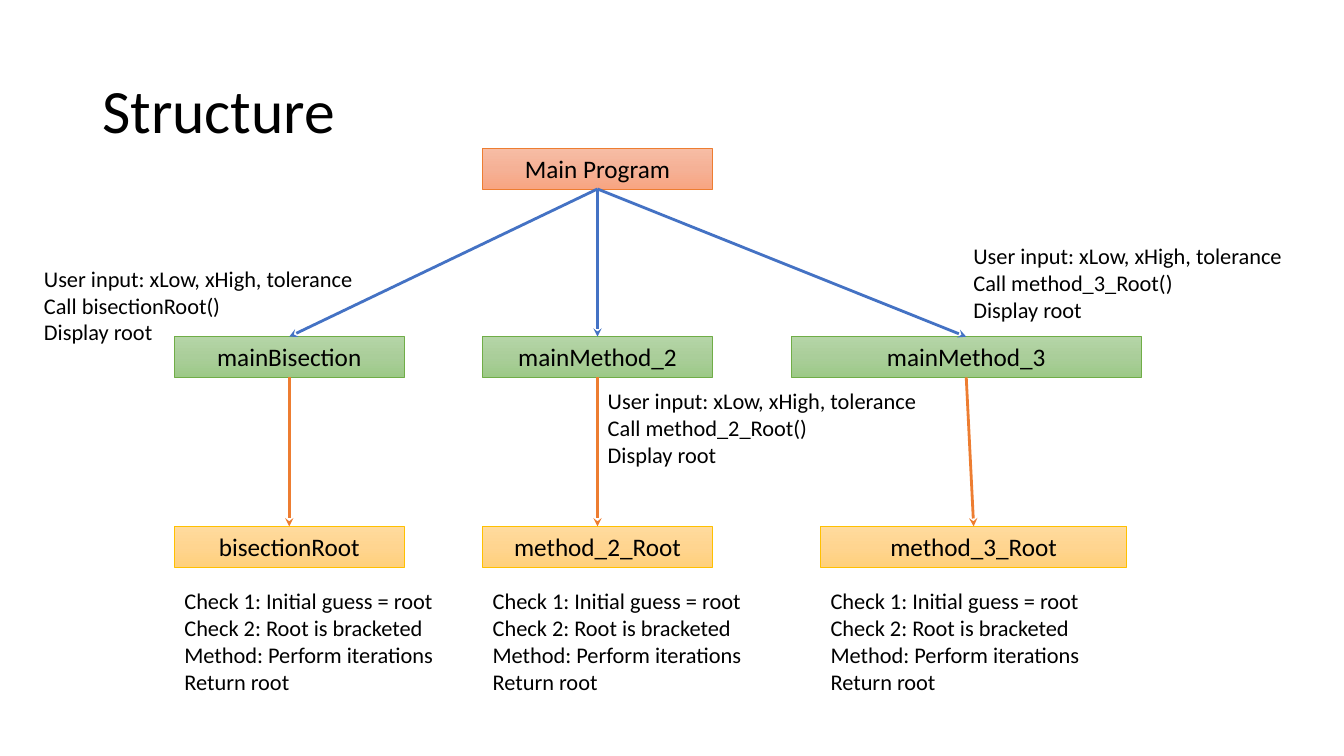
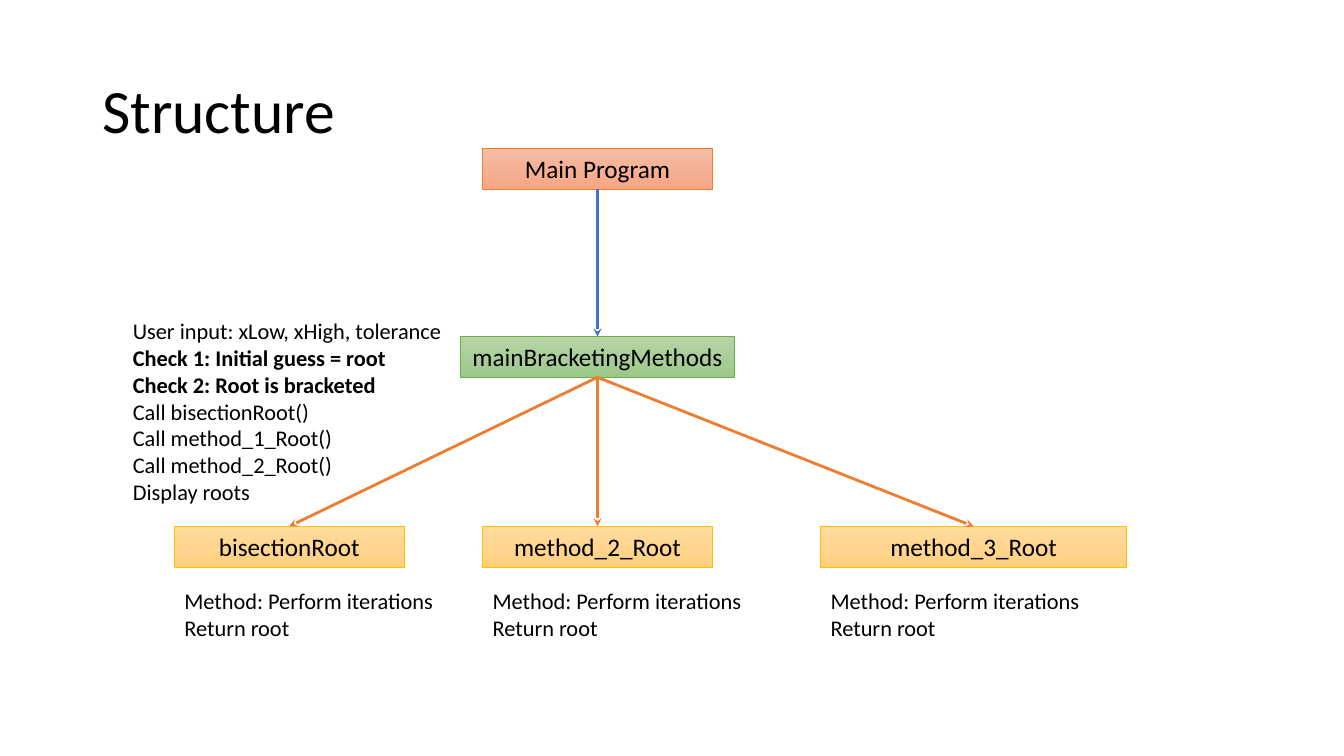
import copy

import lxml.etree
import pptx
import pptx.dml.color
import pptx.enum.shapes
import pptx.enum.text
import pptx.oxml.ns
import pptx.util

Pt = pptx.util.Pt
RGBColor = pptx.dml.color.RGBColor
qn = pptx.oxml.ns.qn
Align = pptx.enum.text.PP_ALIGN
Anchor = pptx.enum.text.MSO_ANCHOR
AutoSize = pptx.enum.text.MSO_AUTO_SIZE

COLORS = {
    "text": "000000",
    "program": ["F7BDA5", "F5B196", "F8A582"],
    "program_line": "ED7D31",
    "caller": ["B5D5A7", "AACE9A", "9CC987"],
    "caller_line": "70AD47",
    "root": ["FFDB9E", "FFD590", "FFD07C"],
    "root_line": "FFC000",
    "program_arrow": "4472C4",
    "caller_arrow": "ED7D31",
}
FONT = "Calibri"
NODE_HEIGHT = 29
NODE_WIDTH = 164
ROW_TOP = {"program": 106, "caller": 240.5, "root": 376}
COLUMN_LEFT = [124.6, 344.8, 586.2]
NOTE_TOP = 416
NOTE_WIDTH = 218
CALL_NOTE_WIDTH = 240
LINE_HEIGHT = 19.2

TITLE = "Structure"
MAIN_PROGRAM = ("Main Program", "program", COLUMN_LEFT[1], NODE_WIDTH)
ROOTS = [
    ("bisectionRoot", "root", COLUMN_LEFT[0], NODE_WIDTH),
    ("method_2_Root", "root", COLUMN_LEFT[1], NODE_WIDTH),
    ("method_3_Root", "root", COLUMN_LEFT[2], 218.6),
]
INPUT = "User input: xLow, xHigh, tolerance"
CHECKS = ["Check 1: Initial guess = root", "Check 2: Root is bracketed"]
METHOD = ["Method: Perform iterations", "Return root"]

# Nodes: text, level, left, width. Call notes: left, top, lines.
SLIDES = [
    {
        "nodes": [
            MAIN_PROGRAM,
            ("mainBisection", "caller", COLUMN_LEFT[0], NODE_WIDTH),
            ("mainMethod_2", "caller", COLUMN_LEFT[1], NODE_WIDTH),
            ("mainMethod_3", "caller", 565.2, 250),
            *ROOTS,
        ],
        "arrows": [(0, 1), (0, 2), (0, 3), (1, 4), (2, 5), (3, 6)],
        "root_note": CHECKS + METHOD,
        "call_notes": [
            (24.3, 185.6, [INPUT, "Call bisectionRoot()", "Display root"]),
            (427, 273, [INPUT, "Call method_2_Root()", "Display root"]),
            (688.2, 169.5, [INPUT, "Call method_3_Root()", "Display root"]),
        ],
        "bold": [],
    },
    {
        "nodes": [
            MAIN_PROGRAM,
            ("mainBracketingMethods", "caller", 329.2, 195.2),
            *ROOTS,
        ],
        "arrows": [(0, 1), (1, 2), (1, 3), (1, 4)],
        "root_note": METHOD,
        "call_notes": [
            (87.8, 223, [INPUT, *CHECKS, "Call bisectionRoot()",
                         "Call method_1_Root()", "Call method_2_Root()",
                         "Display roots"]),
        ],
        "bold": CHECKS,
    },
]


def write_lines(shape, lines, size, frame_format, paragraph_format, bold=()):
    """Fill the shape with one paragraph per line; lines found in bold are bold."""
    frame = shape.text_frame
    for name, value in {"word_wrap": True, **frame_format}.items():
        setattr(frame, name, value)
    for index, line in enumerate(lines):
        paragraph = frame.add_paragraph() if index else frame.paragraphs[0]
        for name, value in paragraph_format.items():
            setattr(paragraph, name, value)
        run = paragraph.add_run()
        run.text = line
        font_format = {"name": FONT, "size": Pt(size), "bold": line in bold}
        for name, value in font_format.items():
            setattr(run.font, name, value)
        run.font.color.rgb = RGBColor.from_string(COLORS["text"])


def add_node(slide, text, level, left, width):
    node = slide.shapes.add_shape(
        pptx.enum.shapes.MSO_SHAPE.RECTANGLE,
        Pt(left), Pt(ROW_TOP[level]), Pt(width), Pt(NODE_HEIGHT))
    node.shadow.inherit = False
    node.fill.gradient()
    node.fill.gradient_angle = 270
    stop_list = node.element.spPr.find(".//" + qn("a:gsLst"))
    stop_list.append(copy.deepcopy(stop_list[0]))
    for index, stop in enumerate(node.fill.gradient_stops):
        stop.position = index / 2
        stop.color.rgb = RGBColor.from_string(COLORS[level][index])
    node.line.color.rgb = RGBColor.from_string(COLORS[level + "_line"])
    node.line.width = Pt(0.5)
    write_lines(node, [text], 18,
                {"auto_size": AutoSize.SHAPE_TO_FIT_TEXT,
                 "vertical_anchor": Anchor.TOP},
                {"alignment": Align.CENTER})
    return node


presentation = pptx.Presentation()
presentation.slide_width = Pt(960)
presentation.slide_height = Pt(540)

for content in SLIDES:
    slide = presentation.slides.add_slide(presentation.slide_layouts[6])

    title = slide.shapes.add_textbox(Pt(66), Pt(28.8), Pt(828), Pt(104.4))
    write_lines(title, [TITLE], 44, {"vertical_anchor": Anchor.MIDDLE},
                {"line_spacing": 0.9})

    nodes = [add_node(slide, *node) for node in content["nodes"]]

    for start, end in content["arrows"]:
        level = content["nodes"][start][1]
        arrow = slide.shapes.add_connector(
            pptx.enum.shapes.MSO_CONNECTOR.STRAIGHT, 0, 0, 0, 0)
        arrow.begin_connect(nodes[start], 2)
        arrow.end_connect(nodes[end], 0)
        arrow.line.color.rgb = RGBColor.from_string(COLORS[level + "_arrow"])
        arrow.line.width = Pt(2)
        properties = arrow.element.spPr
        outline = properties.find(qn("a:ln"))
        lxml.etree.SubElement(outline, qn("a:tailEnd"), type="stealth")
        lxml.etree.SubElement(properties, qn("a:effectLst"))

    notes = [(left, NOTE_TOP, NOTE_WIDTH, content["root_note"], [])
             for left in COLUMN_LEFT]
    notes += [(left, top, CALL_NOTE_WIDTH, lines, content["bold"])
              for left, top, lines in content["call_notes"]]
    for left, top, width, lines, bold in notes:
        note = slide.shapes.add_textbox(
            Pt(left), Pt(top), Pt(width), Pt(LINE_HEIGHT * len(lines) + 8))
        write_lines(note, lines, 16,
                    {"auto_size": AutoSize.SHAPE_TO_FIT_TEXT}, {}, bold)

presentation.save("out.pptx")
